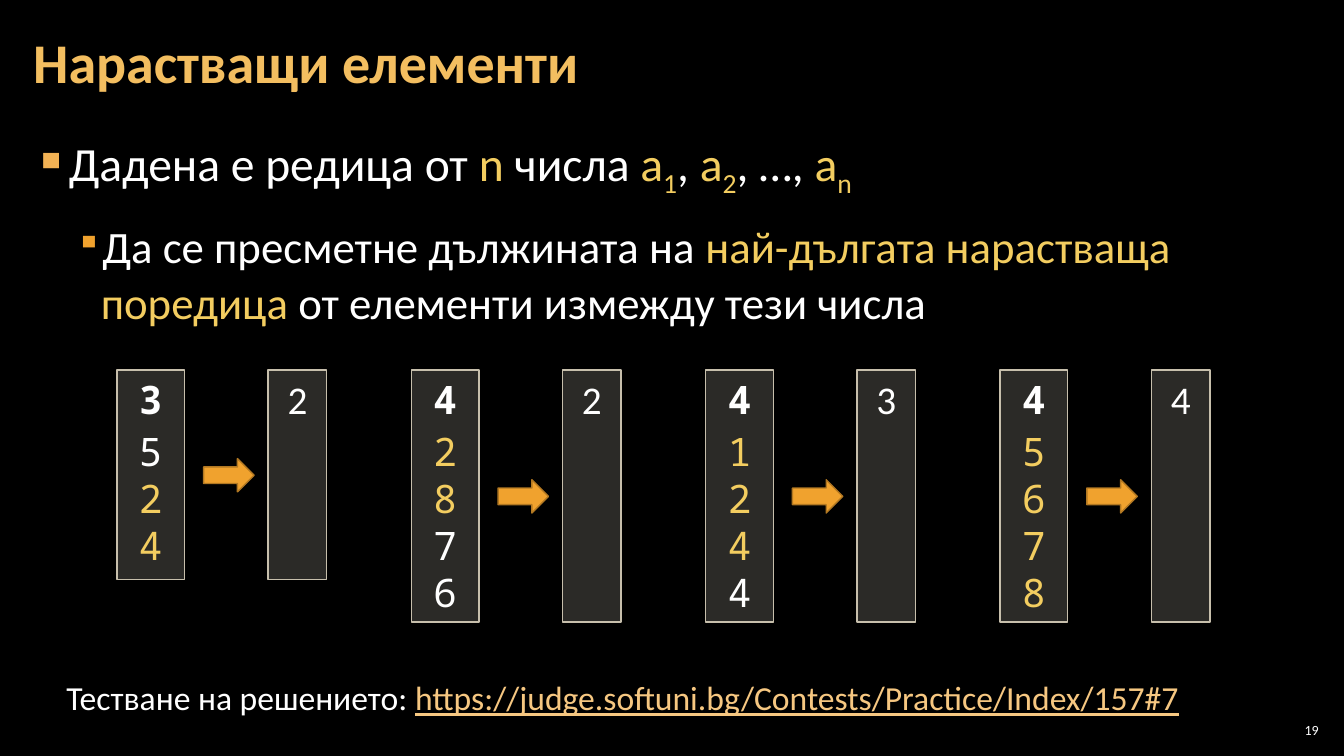
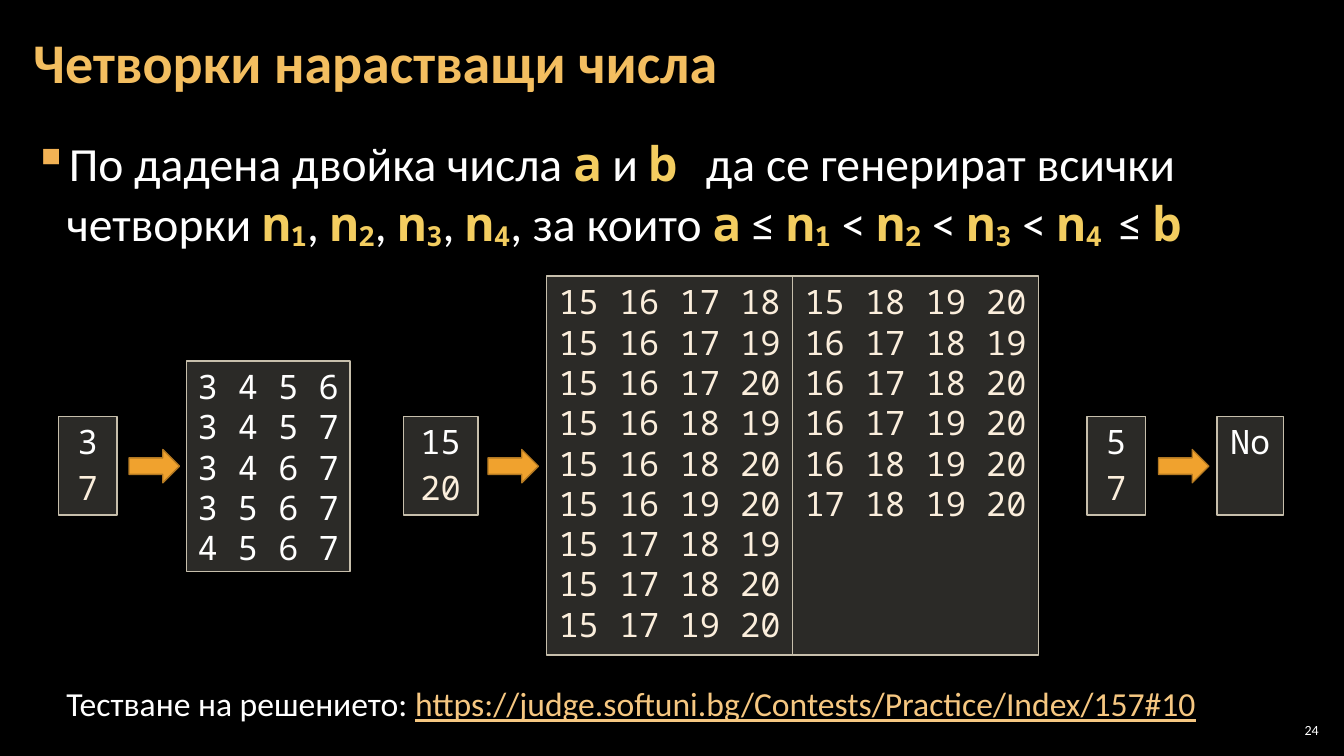
from dataclasses import dataclass
from lxml.etree import SubElement
from pptx import Presentation
from pptx.dml.color import RGBColor
from pptx.enum.shapes import MSO_SHAPE as Shape
from pptx.enum.text import MSO_ANCHOR as Anchor, PP_ALIGN as Align
from pptx.oxml.ns import qn
from pptx.util import Pt

PX = 9144  # EMU in one px, 100 px to the inch


@dataclass(frozen=True)
class Theme:
    back: str = "000000"
    text: str = "FFFFFF"
    title: str = "F3BE60"
    accent: str = "F3CD60"
    link: str = "F6C781"
    pale: str = "FBEEDC"
    panel: str = "D9D5C7"
    panel_alpha: int = 20
    panel_line: str = "C7BFAC"
    arrow: str = "F0A22E"
    arrow_line: str = "B27822"
    bullets: tuple = ("F2B254", "F0A22E")
    sans: str = "Calibri"
    mono: str = "Noto Sans Mono"
    title_size: int = 40
    body_sizes: tuple = (34, 32)
    example_size: int = 28
    listing_size: int = 24
    link_size: int = 24
    number_size: int = 10


T = Theme()


def write(paragraph, text, *, size, color=T.text, font=T.sans,
          bold=False, underline=False, baseline=0):
    """Append one formatted run to the paragraph."""
    run = paragraph.add_run()
    run.text = text
    run.font.size, run.font.name = Pt(size), font
    run.font.bold, run.font.underline = bold, underline
    run.font.color.rgb = RGBColor.from_string(color)
    if baseline:
        run.font._element.set("baseline", str(baseline * 1000))


class Deck:
    """Holds the presentation and the slide being filled."""

    def __init__(self):
        self.prs = Presentation()
        self.prs.slide_width, self.prs.slide_height = 1333 * PX, 750 * PX
        self.slide = None

    def new_slide(self, title, number):
        self.slide = self.prs.slides.add_slide(self.prs.slide_layouts[6])
        backdrop = self.slide.background.fill
        backdrop.solid()
        backdrop.fore_color.rgb = RGBColor.from_string(T.back)
        # Page number
        frame = self.text_box(1265, 714, 47, 21, Anchor.MIDDLE, (4, 4))
        frame.paragraphs[0].alignment = Align.RIGHT
        write(frame.paragraphs[0], str(number), size=T.number_size)
        # Title
        frame = self.text_box(21, 4, 1047, 121, Anchor.MIDDLE, (12, 4))
        frame.paragraphs[0].line_spacing = 0.9
        write(frame.paragraphs[0], title, size=T.title_size, color=T.title, bold=True)

    def text_box(self, x, y, w, h, anchor=Anchor.TOP, inset=(10, 5)):
        box = self.slide.shapes.add_textbox(x * PX, y * PX, w * PX, h * PX)
        frame = box.text_frame
        frame.word_wrap, frame.vertical_anchor = True, anchor
        frame.margin_left = frame.margin_right = inset[0] * PX
        frame.margin_top = frame.margin_bottom = inset[1] * PX
        return frame

    def body(self, *items):
        """Bulleted text: each item is a list of (text, format) runs, one level deeper."""
        frame = self.text_box(21, 126, 1291, 609, inset=(12, 4))
        for level, runs in enumerate(items):
            p = frame.add_paragraph() if level else frame.paragraphs[0]
            indent, hang = ((33, 33), (67, 25))[level]
            props = p._p.get_or_add_pPr()
            props.set("marL", str(indent * PX))
            props.set("indent", str(-hang * PX))
            color = SubElement(props, qn("a:buClr"))
            SubElement(color, qn("a:srgbClr"), val=T.bullets[level])
            SubElement(props, qn("a:buSzPct"), val=("100000", "80000")[level])
            SubElement(props, qn("a:buChar"), char="▪")
            p.level = level
            p.line_spacing, p.space_after = 1.05, Pt(6)
            if level:
                p.space_before = Pt(6)
            for text, style in runs:
                write(p, text, size=T.body_sizes[level], **style)

    def shape(self, kind, x, y, w, h, fill, line):
        shape = self.slide.shapes.add_shape(kind, x * PX, y * PX, w * PX, h * PX)
        shape.shadow.inherit = False
        shape.fill.solid()
        shape.fill.fore_color.rgb = RGBColor.from_string(fill)
        shape.line.color.rgb = RGBColor.from_string(line)
        shape.line.width = Pt(1)
        return shape

    def panel(self, x, middle, w, h, lines, size=T.listing_size, gaps=()):
        """Translucent box of centred (text, format) lines; gaps lists lines with space after."""
        box = self.shape(Shape.RECTANGLE, x, middle - h // 2, w, h, T.panel, T.panel_line)
        tint = box._element.spPr.find(qn("a:solidFill")).find(qn("a:srgbClr"))
        SubElement(tint, qn("a:alpha"), val=str(T.panel_alpha * 1000))
        frame = box.text_frame
        frame.word_wrap, frame.vertical_anchor = True, Anchor.TOP
        for i, (text, style) in enumerate(lines):
            p = frame.add_paragraph() if i else frame.paragraphs[0]
            p.alignment = Align.CENTER
            if i in gaps:
                p.space_after = Pt(4)
            write(p, text, size=size, **style)

    def listing(self, x, middle, w, h, rows, color=T.text):
        self.panel(x, middle, w, h, [(row, dict(font=T.mono, color=color)) for row in rows])

    def pair(self, x, middle, w, first, second):
        self.panel(x, middle, w, 98, [(first, dict(font=T.mono)),
                                      (second, dict(font=T.mono, color=T.pale))], gaps=(0, 1))

    def arrow(self, x, middle):
        self.shape(Shape.RIGHT_ARROW, x, middle - 16, 50, 33, T.arrow, T.arrow_line)

    def judge_link(self, y, task):
        p = self.text_box(56, y, 1211, 50).paragraphs[0]
        write(p, "Тестване на решението: ", size=T.link_size)
        write(p, f"https://judge.softuni.bg/Contests/Practice/Index/157#{task}",
              size=T.link_size, color=T.link, underline=True)


def increasing_elements(deck):
    plain, gold = {}, dict(color=T.accent)
    low = dict(gold, baseline=-25)
    deck.new_slide("Нарастващи елементи", 19)
    deck.body(
        [("Дадена е редица от ", plain), ("n ", gold), ("числа ", plain),
         ("a", gold), ("1", low), (", ", plain), ("a", gold), ("2", low),
         (", …, ", plain), ("a", gold), ("n", low)],
        [("Да се пресметне дължината на ", plain),
         ("най-дългата нарастваща поредица ", gold),
         ("от елементи измежду тези числа", plain)])
    # Examples: the numbers and the longest increasing run in them
    examples = [("524", "24"), ("2876", "28"), ("1244", "124"), ("5678", "5678")]
    for i, (numbers, longest) in enumerate(examples):
        x = 116 + 292 * i
        height = 82 + 42 * len(numbers)
        middle = 367 + height // 2
        start = numbers.find(longest)
        chosen = range(start, start + len(longest))
        lines = [(str(len(numbers)), dict(font=T.mono, bold=True))]
        lines += [(n, dict(font=T.mono, color=T.accent if k in chosen else T.text))
                  for k, n in enumerate(numbers)]
        deck.panel(x, middle, 67, height, lines, T.example_size, gaps=(0,))
        deck.panel(x + 150, middle, 58, height, [(str(len(longest)), plain)], T.example_size)
        deck.arrow(x + 86, middle)
    deck.judge_link(667, 7)


def increasing_fours(deck):
    plain, gold = {}, dict(font=T.mono, color=T.accent, bold=True)
    low = dict(gold, baseline=-10)

    def fours(separator):
        """Runs for n1 to n4 with the separator between them."""
        runs = []
        for i in "1234":
            runs += [("n", gold), (i, low), (separator, plain)]
        return runs[:-1]

    deck.new_slide("Четворки нарастващи числа", 24)
    deck.body([("По дадена двойка числа ", plain), ("a", gold), (" и ", plain), ("b ", gold),
               ("да се генерират всички четворки ", plain), *fours(", "),
               (", за които ", plain), ("a", gold), (" ≤ ", plain), *fours(" < "),
               (" ", low), ("≤ ", plain), ("b", gold)])
    deck.judge_link(673, 10)
    middle = 462
    # First example
    deck.pair(58, middle, 58, "3", "7")
    deck.arrow(128, middle)
    deck.listing(185, middle, 162, 209,
                 ["3 4 5 6", "3 4 5 7", "3 4 6 7", "3 5 6 7", "4 5 6 7"])
    # Second example, in two columns
    deck.pair(400, middle, 74, "15", "20")
    deck.arrow(484, middle)
    columns = [
        ["15 16 17 18", "15 16 17 19", "15 16 17 20", "15 16 18 19", "15 16 18 20",
         "15 16 19 20", "15 17 18 19", "15 17 18 20", "15 17 19 20"],
        ["15 18 19 20", "16 17 18 19", "16 17 18 20", "16 17 19 20", "16 18 19 20",
         "17 18 19 20"]]
    for i, rows in enumerate(columns):
        deck.listing(542 + 244 * i, middle, 244, 376, rows, T.pale)
    # Third example, without a solution
    deck.pair(1078, middle, 58, "5", "7")
    deck.arrow(1149, middle)
    deck.listing(1207, middle, 66, 98, ["No"])


def main():
    deck = Deck()
    increasing_elements(deck)
    increasing_fours(deck)
    deck.prs.save("out.pptx")


if __name__ == "__main__":
    main()
